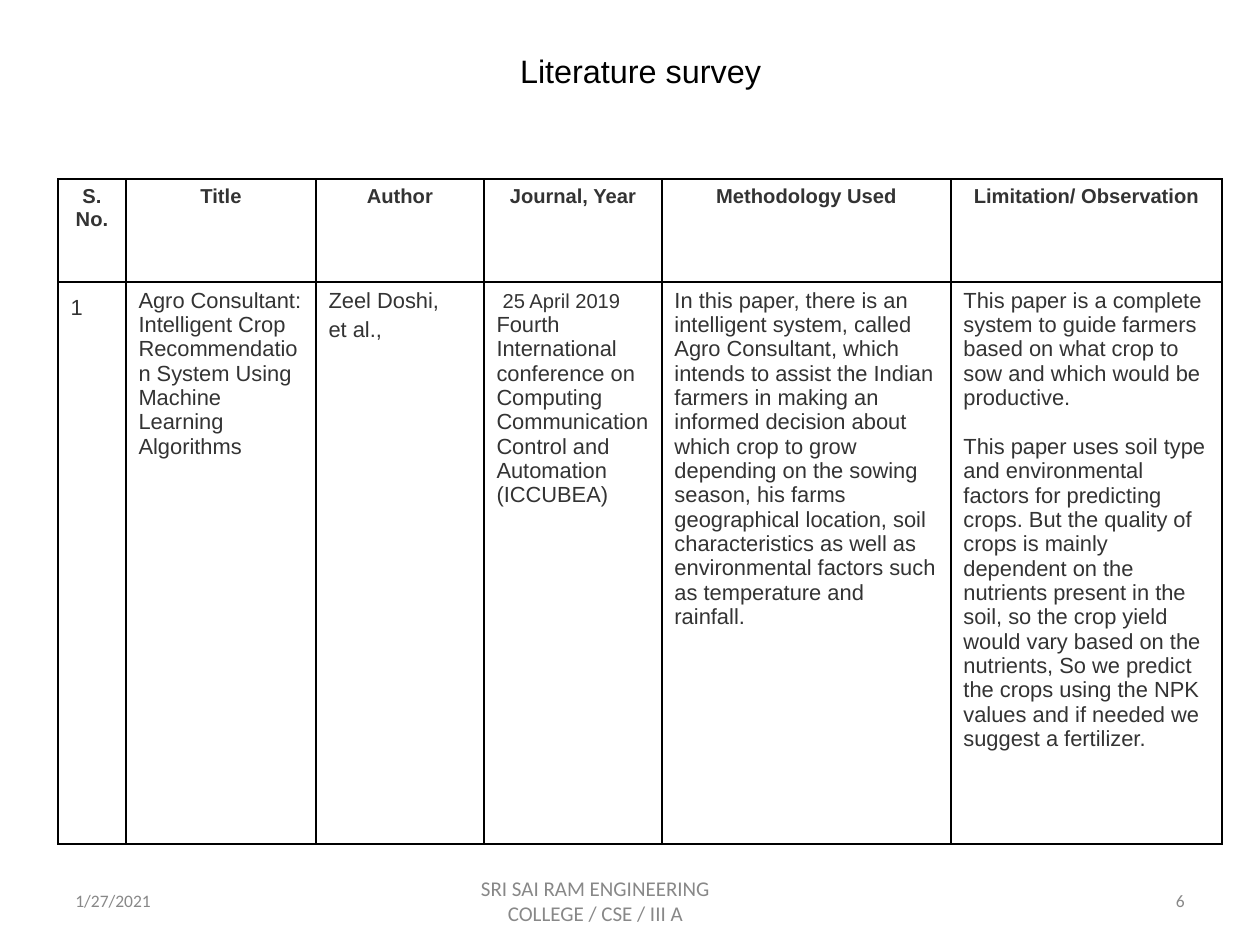
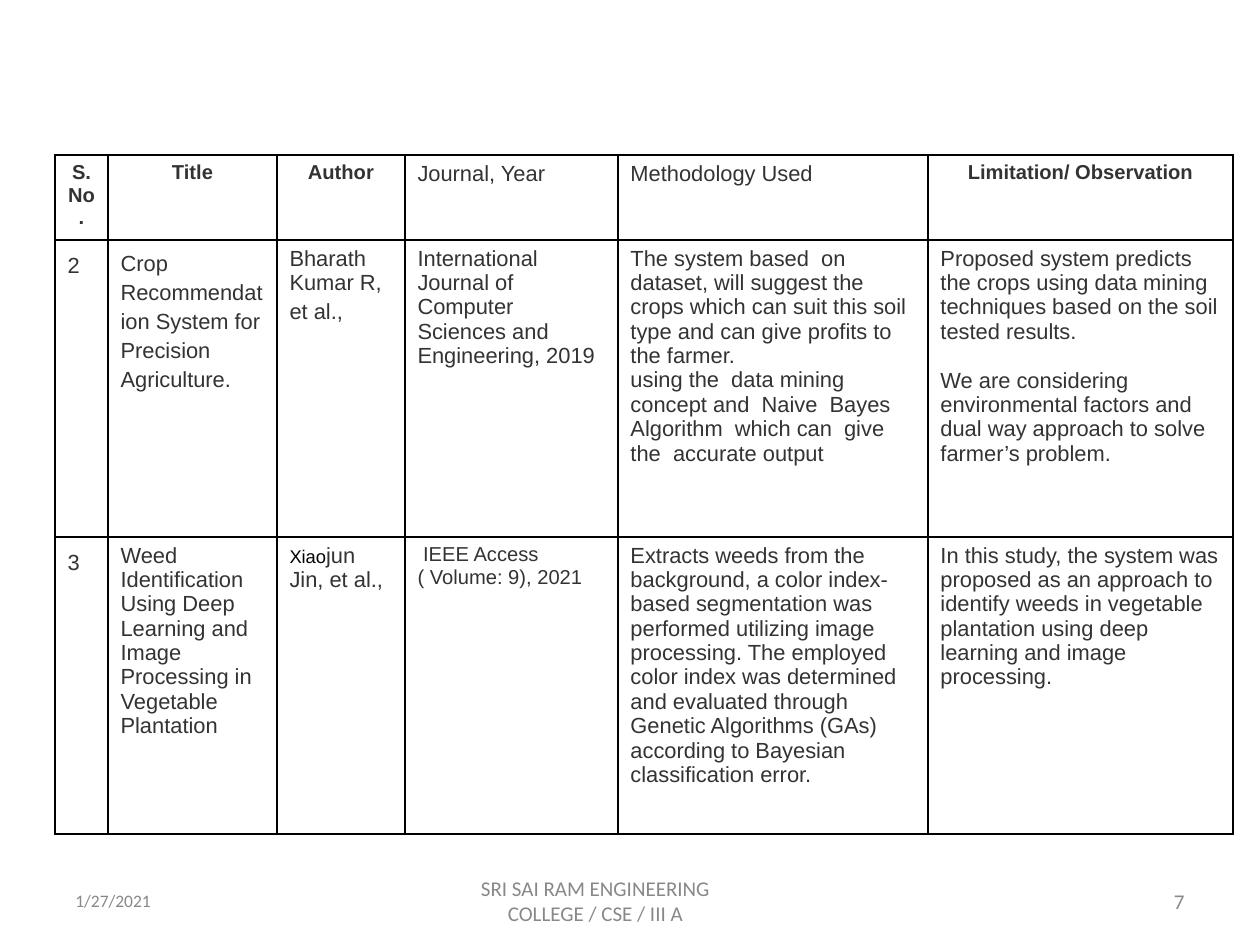
from dataclasses import dataclass, field

from lxml.etree import SubElement
from pptx import Presentation
from pptx.dml.color import RGBColor
from pptx.enum.text import MSO_ANCHOR as Anchor, PP_ALIGN as Align
from pptx.oxml.ns import qn
from pptx.util import Emu, Pt

EMU_PER_PX = 914400 / 126
BLACK = RGBColor(0x00, 0x00, 0x00)
DARK_GREY = RGBColor(0x33, 0x33, 0x33)
FOOTER_GREY = RGBColor(0x88, 0x88, 0x88)

TITLE = {"name": "Arial", "size": Pt(18.5), "rgb": BLACK}
BODY = {"name": "Arial", "size": Pt(12.5), "bold": False, "rgb": DARK_GREY}
HEADER = {**BODY, "size": Pt(11.5), "bold": True}
SMALL = {**BODY, "size": Pt(11.5)}
TINY = {**BODY, "size": Pt(10.5), "rgb": BLACK}
FOOTER = {"name": "Calibri", "size": Pt(10), "rgb": FOOTER_GREY}
LARGE_FOOTER = {**FOOTER, "size": Pt(12)}

CENTERED = {"alignment": Align.CENTER}
RIGHT = {"alignment": Align.RIGHT}
LOOSE = {"line_spacing": 1.2}
NUMBER = {"line_spacing": 1.3}
NEXT_LINE = {"space_before": Pt(2.8)}
AFTER_GAP = {"space_before": Pt(14)}

FOOTER_TOP, FOOTER_HEIGHT = 876, 50


@dataclass
class Line:
    runs: list
    layout: dict = field(default_factory=dict)


def px(value):
    return Emu(round(value * EMU_PER_PX))


def line(text, font=BODY, layout=None):
    return Line([(text, font)], layout or {})


def header(text):
    return [line(text, HEADER, CENTERED)]


def body(text):
    return [line(text)]


def number(text):
    return [line(text, BODY, NUMBER)]


def separated(first, second):
    return [line(first), line(second, BODY, AFTER_GAP)]


def author(name):
    return [line(name), line("et al.,", BODY, NEXT_LINE)]


def format_font(font, values):
    for name, value in values.items():
        if name == "rgb":
            font.color.rgb = value
        else:
            setattr(font, name, value)


def write_lines(frame, lines):
    for index, entry in enumerate(lines):
        paragraph = frame.add_paragraph() if index else frame.paragraphs[0]
        for name, value in entry.layout.items():
            setattr(paragraph, name, value)
        for text, font in entry.runs:
            run = paragraph.add_run()
            run.text = text
            format_font(run.font, font)


def add_text(slide, bounds, entry, **frame_values):
    shape = slide.shapes.add_textbox(*map(px, bounds))
    frame = shape.text_frame
    frame.word_wrap = True
    for name, value in frame_values.items():
        setattr(frame, name, value)
    write_lines(frame, [entry])


def add_title(slide, text):
    add_text(slide, (63, 21, 1155, 116), line(text, TITLE, CENTERED),
             margin_top=px(30))


def add_footer(slide, page, page_font):
    parts = [
        (63, 294, line("1/27/2021", FOOTER)),
        (431, 329, line("SRI SAI RAM ENGINEERING COLLEGE / CSE / III A",
                        LARGE_FOOTER, CENTERED)),
        (903, 294, line(page, page_font, RIGHT)),
    ]
    for left, width, entry in parts:
        add_text(slide, (left, FOOTER_TOP, width, FOOTER_HEIGHT), entry,
                 vertical_anchor=Anchor.MIDDLE)


def add_borders(cell):
    properties = cell._tc.get_or_add_tcPr()
    for side in ("a:lnL", "a:lnR", "a:lnT", "a:lnB"):
        border = SubElement(properties, qn(side), w=str(Pt(1)))
        fill = SubElement(border, qn("a:solidFill"))
        SubElement(fill, qn("a:srgbClr"), val=str(BLACK))


def add_survey_table(slide, left, top, widths, heights, rows):
    shape = slide.shapes.add_table(
        len(heights), len(widths), px(left), px(top),
        px(sum(widths)), px(sum(heights)))
    table = shape.table
    table.first_row = table.horz_banding = False
    for column, width in zip(table.columns, widths):
        column.width = px(width)
    for row, height, contents in zip(table.rows, heights, rows):
        row.height = px(height)
        for cell, lines in zip(row.cells, contents):
            add_borders(cell)
            cell.fill.background()
            write_lines(cell.text_frame, lines)


def first_paper_rows():
    headings = ["S. No.", "Title", "Author", "Journal, Year",
                "Methodology Used", "Limitation/ Observation"]
    return [
        [header(text) for text in headings],
        [
            number("1"),
            body("Agro Consultant: Intelligent Crop Recommendation System "
                 "Using Machine Learning Algorithms"),
            author("Zeel Doshi,"),
            [Line([
                (" ", BODY),
                ("25 April 2019 ", SMALL),
                ("Fourth International conference on Computing Communication "
                 "Control and Automation (ICCUBEA)", BODY),
            ])],
            body("In this paper, there is an intelligent system, called Agro "
                 "Consultant, which intends to assist the Indian farmers in "
                 "making an informed decision about which crop to grow "
                 "depending on the sowing season, his farms geographical "
                 "location, soil characteristics as well as environmental "
                 "factors such as temperature and rainfall."),
            separated(
                "This paper is a complete system to guide farmers based on "
                "what crop to sow and which would be productive.",
                "This paper uses soil type and environmental factors for "
                "predicting crops. But the quality of crops is mainly "
                "dependent on the nutrients present in the soil, so the crop "
                "yield would vary based on the nutrients, So we predict the "
                "crops using the NPK values and if needed we suggest a "
                "fertilizer."),
        ],
    ]


def later_paper_rows():
    return [
        [
            header("S. No."), header("Title"), header("Author"),
            body("Journal, Year"), body("Methodology Used"),
            header("Limitation/ Observation"),
        ],
        [
            number("2"),
            [line("Crop Recommendation System for Precision Agriculture.",
                  BODY, LOOSE)],
            author("Bharath Kumar R,"),
            body("International Journal of Computer Sciences and "
                 "Engineering, 2019"),
            [
                line("The system based  on"),
                line("dataset, will suggest the crops which can suit this "
                     "soil type and can give profits to the farmer."),
                line("using the  data mining  concept and  Naive  Bayes "
                     "Algorithm  which can  give the  accurate output"),
            ],
            separated(
                "Proposed system predicts the crops using data mining "
                "techniques based on the soil tested results.",
                "We are considering environmental factors and dual way "
                "approach to solve farmer’s problem."),
        ],
        [
            number("3"),
            body("Weed Identification Using Deep Learning and Image "
                 "Processing in Vegetable Plantation"),
            [Line([("Xiao", TINY), ("jun Jin, et al.,", BODY)])],
            [line(" IEEE Access ( Volume: 9), 2021", SMALL)],
            body("Extracts weeds from the background, a color index-based "
                 "segmentation was performed utilizing image processing. The "
                 "employed color index was determined and evaluated through "
                 "Genetic Algorithms (GAs) according to Bayesian "
                 "classification error."),
            body("In this study, the system was proposed as an approach to "
                 "identify weeds in vegetable plantation using deep learning "
                 "and image processing."),
        ],
    ]


def main():
    presentation = Presentation()
    presentation.slide_width, presentation.slide_height = px(1260), px(945)
    blank = presentation.slide_layouts[6]

    slide = presentation.slides.add_slide(blank)
    add_title(slide, "Literature survey")
    add_survey_table(slide, 58, 179, (68, 190, 168, 178, 289, 271),
                     (103, 562), first_paper_rows())
    add_footer(slide, "6", FOOTER)

    slide = presentation.slides.add_slide(blank)
    add_survey_table(slide, 55, 155, (53, 169, 128, 213, 310, 305),
                     (80, 297, 297), later_paper_rows())
    add_footer(slide, "7", LARGE_FOOTER)

    presentation.save("out.pptx")


if __name__ == "__main__":
    main()
